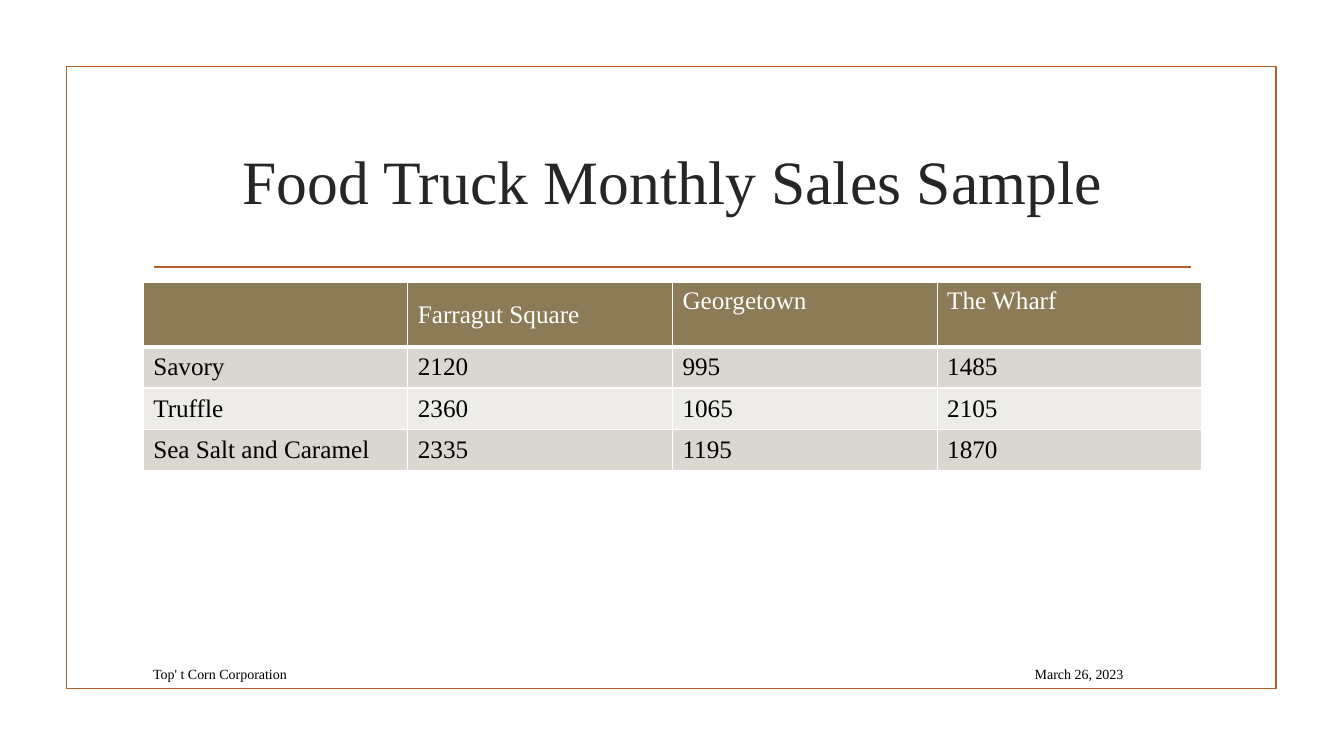
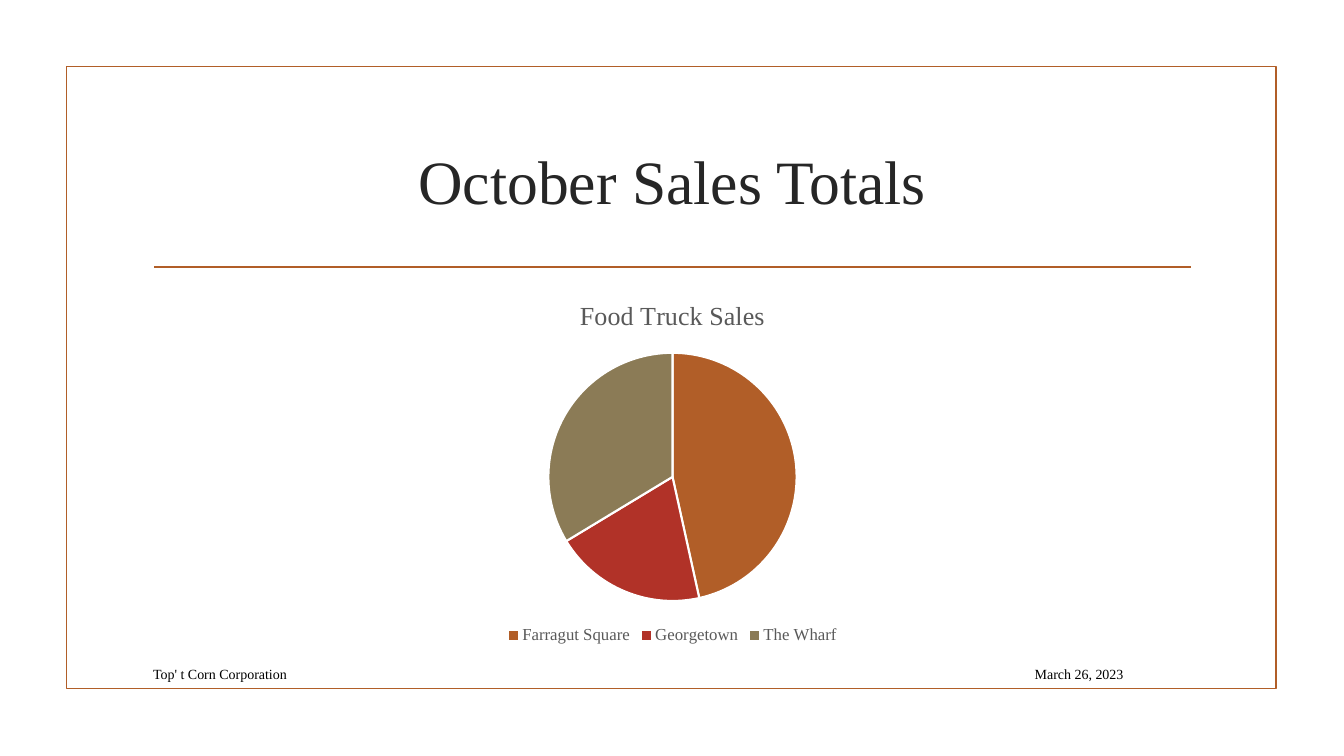
from lxml import etree
from pptx import Presentation
from pptx.chart.data import CategoryChartData
from pptx.dml.color import RGBColor
from pptx.enum.chart import XL_CHART_TYPE, XL_LEGEND_POSITION
from pptx.enum.shapes import MSO_CONNECTOR, MSO_SHAPE
from pptx.enum.text import MSO_ANCHOR, PP_ALIGN
from pptx.oxml.ns import qn
from pptx.util import Inches, Pt

PIE = XL_CHART_TYPE.PIE
BOTTOM = XL_LEGEND_POSITION.BOTTOM
STRAIGHT = MSO_CONNECTOR.STRAIGHT
RECT = MSO_SHAPE.RECTANGLE
TOP, MIDDLE = MSO_ANCHOR.TOP, MSO_ANCHOR.MIDDLE
LEFT, CENTER, RIGHT = PP_ALIGN.LEFT, PP_ALIGN.CENTER, PP_ALIGN.RIGHT

ORANGE = RGBColor(0xB1, 0x5E, 0x28)
RED = RGBColor(0xB1, 0x32, 0x28)
OLIVE = RGBColor(0x8B, 0x7B, 0x56)
DARK = RGBColor(0xDA, 0xD7, 0xD1)
LIGHT = RGBColor(0xEE, 0xEC, 0xE9)
INK = RGBColor(0x26, 0x26, 0x26)
GRAY = RGBColor(0x59, 0x59, 0x59)
BLACK = RGBColor(0, 0, 0)
WHITE = RGBColor(0xFF, 0xFF, 0xFF)

FACE = "Times New Roman"
TITLE_ONLY = 5
EDGE, WIDTH = 1.42, 10.5
BODY_TOP = 2.8

SALES = [
    ["", "Farragut Square", "Georgetown", "The Wharf"],
    ["Savory", "2120", "995", "1485"],
    ["Truffle", "2360", "1065", "2105"],
    ["Sea Salt and Caramel", "2335", "1195", "1870"],
]
TOTALS = [47, 20, 34]


def style(font, size, color):
    font.name, font.size, font.bold = FACE, Pt(size), False
    font.color.rgb = color


def write(frame, text, size=18, color=BLACK, align=LEFT, anchor=MIDDLE):
    frame.word_wrap = True
    frame.vertical_anchor = anchor
    para = frame.paragraphs[0]
    para.alignment = align
    run = para.add_run()
    run.text = text
    style(run.font, size, color)


def place(shape, left, top, width, height):
    shape.left, shape.top = Inches(left), Inches(top)
    shape.width, shape.height = Inches(width), Inches(height)


def stroke(shape):
    shape.line.color.rgb = ORANGE
    shape.line.width = Pt(1.25)


def dress(layout, slide):
    """Set the shared title place, and move frame and rule to the layout."""
    place(layout.placeholders[0], EDGE, 1.07, WIDTH, 1.43)
    frame = slide.shapes.add_shape(
        RECT, Inches(0.66), Inches(0.66), Inches(12), Inches(6.17))
    frame.shadow.inherit = False
    frame.fill.background()
    rule = slide.shapes.add_connector(
        STRAIGHT, Inches(1.53), Inches(2.65), Inches(11.81), Inches(2.65))
    etree.SubElement(rule.element.spPr, qn("a:effectLst"))
    for spot, part in enumerate((frame, rule), start=2):
        stroke(part)
        layout.shapes.element.insert(spot, part.element)


def label(slide, text, left, width, align):
    box = slide.shapes.add_textbox(
        Inches(left), Inches(6.53), Inches(width), Inches(0.31))
    write(box.text_frame, text, size=10, align=align)


def start(slide, title):
    """Fill the title and the footer line."""
    write(slide.shapes.title.text_frame, title, size=44, color=INK, align=CENTER)
    label(slide, "March 26, 2023", 9.49, 1.75, RIGHT)
    label(slide, "Top' t Corn Corporation", EDGE, 7.99, LEFT)


def border(cell, low):
    """Draw white cell edges; low is the width of the bottom one."""
    props = cell._tc.get_or_add_tcPr()
    for side, width in (("L", 1), ("R", 1), ("T", 1), ("B", low)):
        line = etree.SubElement(props, qn(f"a:ln{side}"), w=str(Pt(width)))
        fill = etree.SubElement(line, qn("a:solidFill"))
        etree.SubElement(fill, qn("a:srgbClr"), val=str(WHITE))


def grid(slide, rows):
    heights = [0.64] + [0.41] * (len(rows) - 1)
    table = slide.shapes.add_table(
        len(rows), len(rows[0]), Inches(EDGE), Inches(BODY_TOP),
        Inches(WIDTH), Inches(sum(heights))).table
    for r, row in enumerate(rows):
        head = r == 0
        table.rows[r].height = Inches(heights[r])
        for c, text in enumerate(row):
            cell = table.cell(r, c)
            border(cell, 3 if head else 1)
            cell.fill.solid()
            cell.fill.fore_color.rgb = OLIVE if head else DARK if r % 2 else LIGHT
            cell.vertical_anchor = TOP if head and c > 1 else MIDDLE
            if text:
                write(cell.text_frame, text, color=WHITE if head else BLACK,
                      anchor=cell.vertical_anchor)


def pie(slide, name, cats, vals):
    data = CategoryChartData()
    data.categories = cats
    data.add_series(name, vals)
    chart = slide.shapes.add_chart(
        PIE, Inches(EDGE), Inches(BODY_TOP), Inches(WIDTH), Inches(3.63),
        data).chart
    style(chart.font, 10, BLACK)

    # Title and legend
    chart.has_title = True
    write(chart.chart_title.text_frame, name, size=18.6, color=GRAY, align=CENTER)
    chart.chart_title.include_in_layout = False
    chart.has_legend = True
    chart.legend.position = BOTTOM
    chart.legend.include_in_layout = False
    style(chart.legend.font, 12, GRAY)

    # Slices
    plot = chart.plots[0]
    plot.vary_by_categories = True
    for i, color in enumerate((ORANGE, RED, OLIVE)):
        look = plot.series[0].points[i].format
        look.fill.solid()
        look.fill.fore_color.rgb = color
        look.line.color.rgb = WHITE
        look.line.width = Pt(1.5)


def main():
    deck = Presentation()
    deck.slide_width, deck.slide_height = Inches(13.33), Inches(7.5)
    layout = deck.slide_layouts[TITLE_ONLY]

    # Monthly sales table
    slide = deck.slides.add_slide(layout)
    dress(layout, slide)
    start(slide, "Food Truck Monthly Sales Sample")
    grid(slide, SALES)

    # October pie chart
    slide = deck.slides.add_slide(layout)
    start(slide, "October Sales Totals")
    pie(slide, "Food Truck Sales", SALES[0][1:], TOTALS)

    deck.save("out.pptx")


if __name__ == "__main__":
    main()
